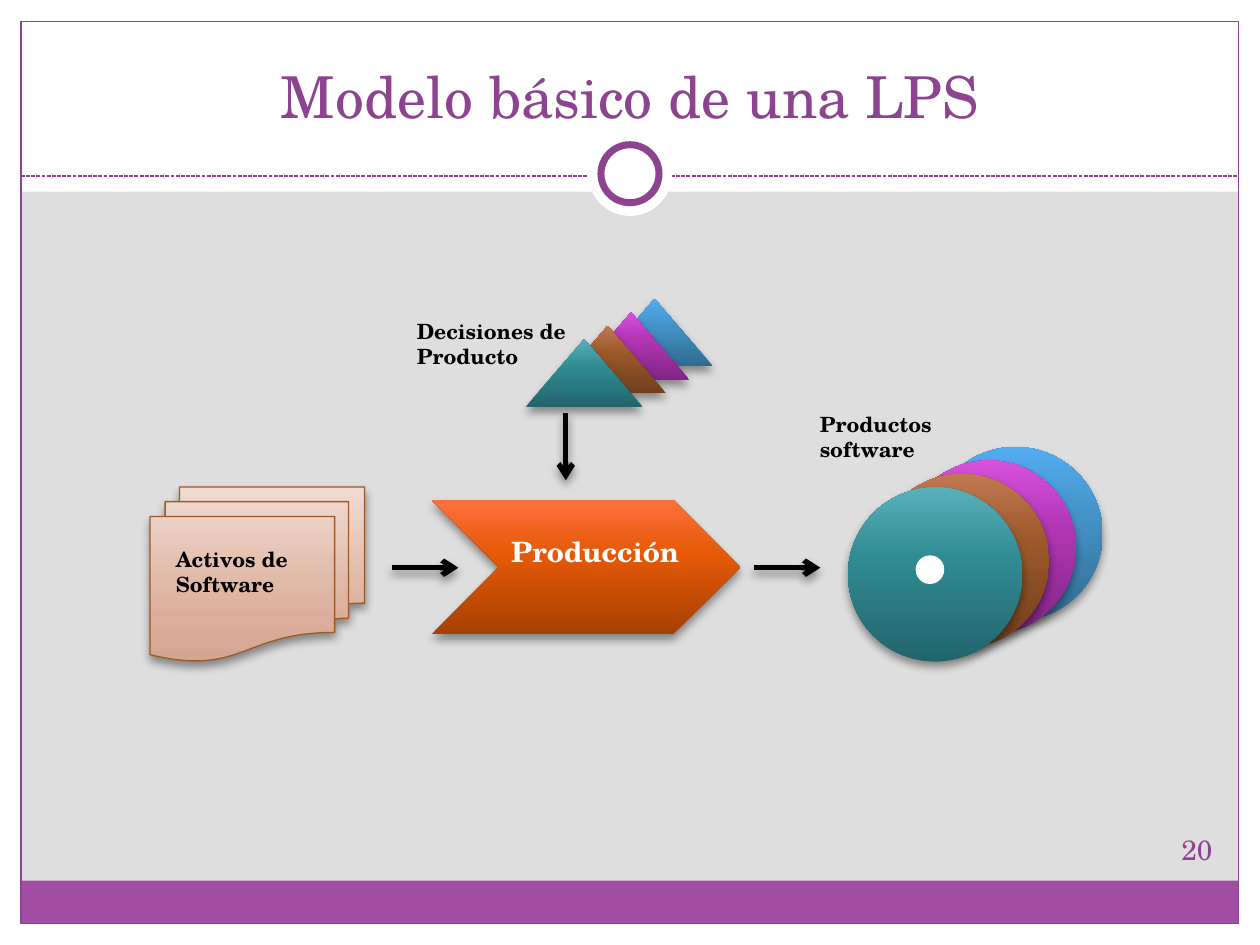
import copy

import pptx
import pptx.dml.color
import pptx.enum.dml
import pptx.enum.shapes
import pptx.enum.text
import pptx.oxml
import pptx.oxml.ns
import pptx.util

Pt = pptx.util.Pt
qn = pptx.oxml.ns.qn
Kind = pptx.enum.shapes.MSO_SHAPE
Align = pptx.enum.text.PP_ALIGN
Anchor = pptx.enum.text.MSO_ANCHOR
Dash = pptx.enum.dml.MSO_LINE

FONT = "TeX Gyre Schola"
PLUM = "8D4490"
WHITE = "FFFFFF"
BLACK = "000000"
BLUE = ((0, "306B91"), (0.6, "4493C7"), (1, "53ACF0"))
PINK = ((0, "812684"), (0.6, "B036B4"), (1, "D751DD"))
BROWN = ((0, "713F1C"), (0.6, "9B5829"), (1, "C27852"))
TEAL = ((0, "22656C"), (0.6, "318B93"), (1, "59B0BA"))
RUST = ((0, "A84002"), (0.6, "E55907"), (1, "FF703C"))
SAND = ((0, "D3A692"), (0.25, "DAAE9A"), (1, "F1DBD1"))
STACK = (BLUE, PINK, BROWN, TEAL)

NS = 'xmlns:a="http://schemas.openxmlformats.org/drawingml/2006/main"'
SHADE = (
    f'<a:outerShdw {NS} blurRad="{Pt(5.2)}" dist="{Pt(3)}" dir="5400000"'
    ' rotWithShape="0"><a:srgbClr val="000000"><a:alpha val="40000"/>'
    "</a:srgbClr></a:outerShdw>"
)


def tint(code):
    return pptx.dml.color.RGBColor.from_string(code)


def write(frame, text, size=12, color=BLACK, bold=False, align=Align.LEFT,
          anchor=Anchor.TOP, inset=None):
    frame.word_wrap = True
    frame.vertical_anchor = anchor
    if inset is not None:
        frame.margin_left = frame.margin_right = Pt(inset)
        frame.margin_top = frame.margin_bottom = Pt(inset)
    para = frame.paragraphs[0]
    para.alignment = align
    run = para.add_run()
    run.text = text
    font = run.font
    font.name, font.size, font.bold = FONT, Pt(size), bold
    font.color.rgb = tint(color)


def blend(shape, stops):
    shape.fill.gradient()
    shape.fill.gradient_angle = 90
    nodes = shape._element.spPr.find(qn("a:gradFill")).find(qn("a:gsLst"))
    while len(nodes) < len(stops):
        nodes.append(copy.deepcopy(nodes[-1]))
    for stop, (place, code) in zip(shape.fill.gradient_stops, stops):
        stop.position = place
        stop.color.rgb = tint(code)


class Deck:
    def __init__(self, wide, high, back):
        self.show = pptx.Presentation()
        self.show.slide_width, self.show.slide_height = Pt(wide), Pt(high)
        self.slide = self.show.slides.add_slide(self.show.slide_layouts[6])
        fill = self.slide.background.fill
        fill.solid()
        fill.fore_color.rgb = tint(back)

    def shape(self, kind, x, y, w, h, fill=None, line=None, width=0.75,
              shade=False):
        item = self.slide.shapes.add_shape(kind, Pt(x), Pt(y), Pt(w), Pt(h))
        item.shadow.inherit = False
        if fill is None:
            item.fill.background()
        elif isinstance(fill, str):
            item.fill.solid()
            item.fill.fore_color.rgb = tint(fill)
        else:
            blend(item, fill)
        if line:
            item.line.color.rgb = tint(line)
            item.line.width = Pt(width)
        else:
            item.line.fill.background()
        if shade:
            glow = item._element.spPr.find(qn("a:effectLst"))
            glow.append(pptx.oxml.parse_xml(SHADE))
        return item

    def line(self, x, y, to_x, to_y, color, width, dash=None, arrow=False):
        item = self.slide.shapes.add_connector(
            pptx.enum.shapes.MSO_CONNECTOR.STRAIGHT,
            Pt(x), Pt(y), Pt(to_x), Pt(to_y))
        item.line.color.rgb = tint(color)
        item.line.width = Pt(width)
        if dash:
            item.line.dash_style = dash
        glow = pptx.oxml.parse_xml(f"<a:effectLst {NS}/>")
        props = item._element.spPr
        props.append(glow)
        if arrow:
            head = pptx.oxml.parse_xml(f'<a:tailEnd {NS} type="arrow"/>')
            props.find(qn("a:ln")).append(head)
            glow.append(pptx.oxml.parse_xml(SHADE))

    def text(self, text, x, y, w, h, **style):
        box = self.slide.shapes.add_textbox(Pt(x), Pt(y), Pt(w), Pt(h))
        write(box.text_frame, text, **style)

    def stack(self, kind, x, y, w, h, step, drop):
        for i, fill in enumerate(STACK):
            self.shape(kind, x + i * step, y + i * drop, w, h, fill,
                       shade=True)


def main():
    deck = Deck(720, 540, "DEDEDE")

    for box in ((0, 527.8, 720, 12.2), (0, 0, 720, 109.6),
                (0, 0, 12, 540), (708, 0, 12, 540)):
        deck.shape(Kind.RECTANGLE, *box, WHITE)
    deck.shape(Kind.RECTANGLE, 11.8, 503.2, 695.6, 24.4, "A04DA3")
    deck.shape(Kind.RECTANGLE, 12, 12.2, 695.6, 515.4, line=PLUM)
    deck.line(12, 100.6, 707.6, 100.6, PLUM, 0.75, dash=Dash.SQUARE_DOT)
    deck.shape(Kind.OVAL, 336, 75.4, 48, 48, WHITE)
    deck.shape(Kind.OVAL, 343.4, 82.7, 33.2, 33.2, WHITE, PLUM, 4)
    deck.text("Modelo básico de una LPS", 24, 18, 672, 60, size=33,
              color=PLUM, align=Align.CENTER, anchor=Anchor.BOTTOM)

    span = 38.2
    for x in (430.6, 223.8):
        deck.line(x, 324.4, x + span, 324.4, BLACK, 3, arrow=True)
    deck.line(323.3, 236.2, 323.3, 236.2 + span, BLACK, 3, arrow=True)

    deck.shape(Kind.CHEVRON, 246.8, 285.8, 176.2, 76.5, RUST, shade=True)
    deck.text("Producción", 285, 301.7, 130.3, 26.6, size=16, color=WHITE,
              bold=True)
    deck.shape(Kind.FLOWCHART_MULTIDOCUMENT, 85.7, 278.3, 122.6, 99.6, SAND,
               "9E5929", shade=True)
    deck.stack(Kind.ISOSCELES_TRIANGLE, 340.7, 170.8, 66.7, 38.6, -13.4, 7.7)
    deck.stack(Kind.OVAL, 530.5, 255.4, 99.6, 99.6, -15.3, 7.7)
    deck.shape(Kind.OVAL, 524.9, 319, 13, 13, WHITE, WHITE, 3.35)

    for text, x, y in (("Activos de Software", 93.4, 308.9),
                       ("Decisiones de Producto", 231.1, 178.6),
                       ("Productos software", 461.4, 231.8)):
        deck.text(text, x, y, 99.6, 36, bold=True)
    deck.text("20", 666, 468, 36, 34.6, size=16, color=PLUM,
              align=Align.CENTER, anchor=Anchor.MIDDLE, inset=3.6)

    deck.show.save("out.pptx")


if __name__ == "__main__":
    main()
